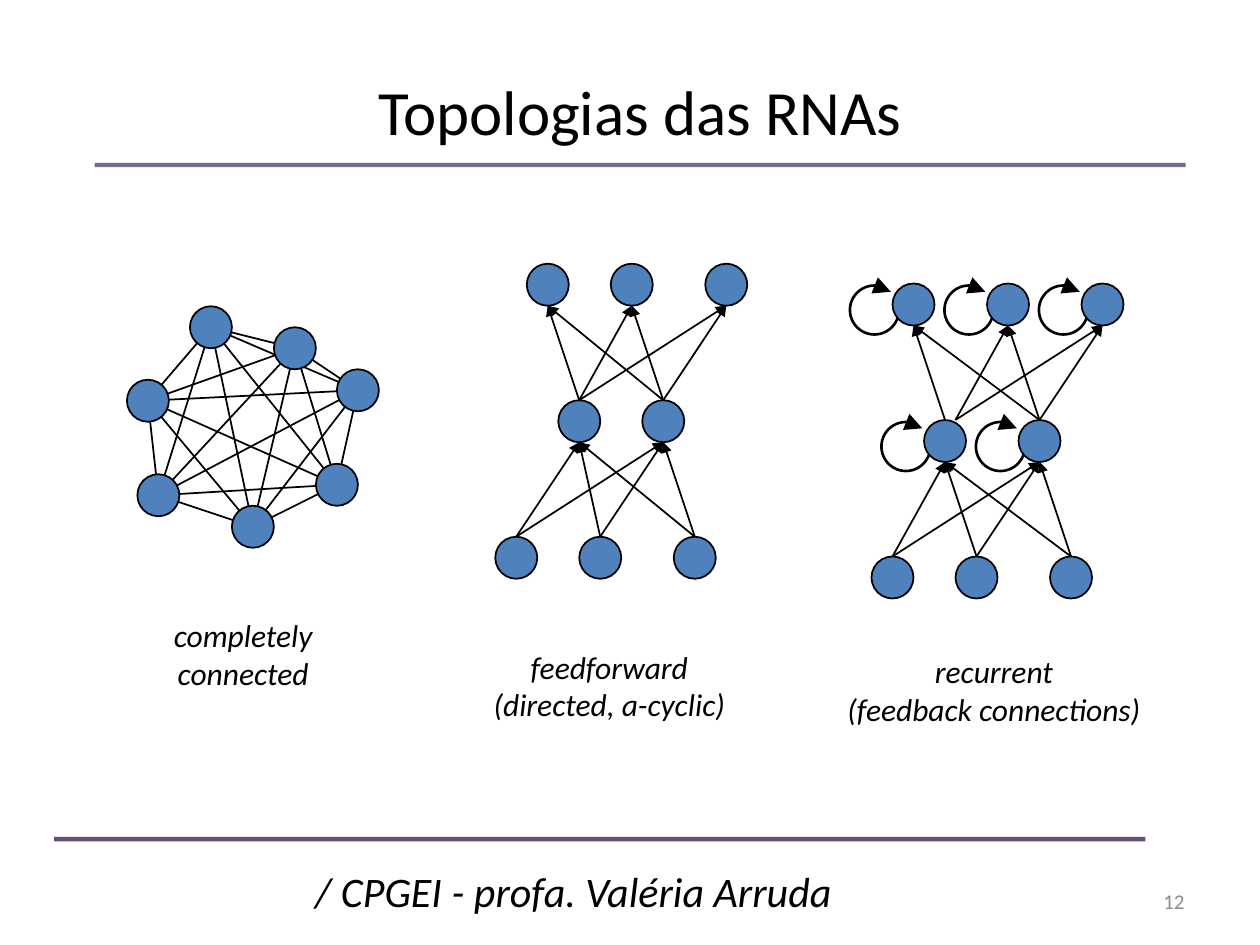
"""Builds a slide that compares three neural network topologies."""
from itertools import combinations

from lxml import etree
from pptx import Presentation
from pptx.dml.color import RGBColor
from pptx.enum.shapes import MSO_CONNECTOR, MSO_SHAPE
from pptx.enum.text import MSO_ANCHOR, PP_ALIGN
from pptx.oxml.ns import qn
from pptx.util import Pt

STRAIGHT = MSO_CONNECTOR.STRAIGHT
ELLIPSE, ARC = MSO_SHAPE.OVAL, MSO_SHAPE.ARC
LEFT, CENTER, RIGHT = PP_ALIGN.LEFT, PP_ALIGN.CENTER, PP_ALIGN.RIGHT
TOP, MIDDLE = MSO_ANCHOR.TOP, MSO_ANCHOR.MIDDLE
FONT = "Calibri"
BLACK, GRAY, BLUE, PURPLE = "000000", "8C8C8C", "4F81BD", "604A7B"
RADIUS = 12
LOOP_RADIUS = 14
LOOP_START, LOOP_END = 333, 312
ANGLE_UNIT = 0.6
LAYER_GAP = 78


def rgb(value):
    """Turn a hex string into a colour."""
    return RGBColor.from_string(value)


def add_text(slide, text, box, size, align=LEFT, anchor=TOP,
             color=BLACK, italic=False, wrap=True):
    """Add a text box with one format for all its lines."""
    frame = slide.shapes.add_textbox(*map(Pt, box)).text_frame
    frame.word_wrap = wrap
    frame.vertical_anchor = anchor
    frame.text = text
    for paragraph in frame.paragraphs:
        paragraph.alignment = align
        for run in paragraph.runs:
            run.font.name = FONT
            run.font.size = Pt(size)
            run.font.italic = italic
            run.font.color.rgb = rgb(color)


def add_arrowhead(shape, size="med"):
    """Put a triangle at the end of a line or an arc."""
    outline = shape._element.spPr.find(qn("a:ln"))
    etree.SubElement(outline, qn("a:tailEnd"), type="triangle", w=size, len=size)


def add_line(slide, start, end, color=BLACK, width=1, arrow=False):
    """Add a straight line, with an arrowhead at its end if asked."""
    line = slide.shapes.add_connector(STRAIGHT, *map(Pt, (*start, *end)))
    line.line.color.rgb = rgb(color)
    line.line.width = Pt(width)
    if arrow:
        add_arrowhead(line)
    etree.SubElement(line._element.spPr, qn("a:effectLst"))
    return line


def add_rule(slide, left, top, opacity):
    """Add a translucent purple rule across the slide."""
    rule = add_line(slide, (left, top), (left + 623.5, top), PURPLE, 2.5)
    color = rule._element.spPr.find(".//" + qn("a:srgbClr"))
    etree.SubElement(color, qn("a:alpha"), val=str(opacity * 1000))


def add_round(slide, kind, center, radius, width=1):
    """Add a round shape with a black outline around its centre."""
    x, y = center
    box = (x - radius, y - radius, 2 * radius, 2 * radius)
    shape = slide.shapes.add_shape(kind, *map(Pt, box))
    shape.shadow.inherit = False
    shape.line.color.rgb = rgb(BLACK)
    shape.line.width = Pt(width)
    return shape


def add_neuron(slide, center):
    """Add a neuron around its centre."""
    neuron = add_round(slide, ELLIPSE, center, RADIUS)
    neuron.fill.solid()
    neuron.fill.fore_color.rgb = rgb(BLUE)


def add_self_loop(slide, neuron):
    """Add the feedback loop at the left of a neuron."""
    center = (neuron[0] - 22.3, neuron[1] + 3.2)
    loop = add_round(slide, ARC, center, LOOP_RADIUS, 1.5)
    loop.fill.background()
    loop.adjustments[0] = LOOP_START * ANGLE_UNIT
    loop.adjustments[1] = LOOP_END * ANGLE_UNIT
    add_arrowhead(loop, "lg")


def add_complete_network(slide, neurons):
    """Join every pair of neurons and draw the neurons on top."""
    for start, end in combinations(neurons, 2):
        add_line(slide, start, end)
    for neuron in neurons:
        add_neuron(slide, neuron)


def add_layered_network(slide, left, bottom, columns, recurrent=False):
    """Draw layers from input to output, each feeding the next one."""
    layers = [[(left + x, bottom - level * LAYER_GAP) for x in row]
              for level, row in enumerate(columns)]
    for level, (sources, targets) in enumerate(zip(layers, layers[1:])):
        for i, (x, y) in enumerate(sources):
            for j, (target_x, target_y) in enumerate(targets):
                shift = 6 if recurrent and level == 1 and i == 0 and j > 0 else 0
                add_line(slide, (x + shift, y - RADIUS),
                         (target_x, target_y + RADIUS), arrow=True)
    if recurrent:
        for neuron in layers[1] + layers[2]:
            add_self_loop(slide, neuron)
    for layer in layers:
        for neuron in layer:
            add_neuron(slide, neuron)


def add_caption(slide, text, box):
    """Add the italic caption below a network."""
    add_text(slide, text, box, 18, CENTER, italic=True, wrap=False)


def main():
    """Build and save the slide."""
    deck = Presentation()
    deck.slide_width, deck.slide_height = Pt(720), Pt(540)
    slide = deck.slides.add_slide(deck.slide_layouts[6])

    add_rule(slide, 54, 94.3, 83)
    add_rule(slide, 31, 479.5, 97)
    add_text(slide, "Topologias das RNAs", (54, 26, 623.5, 73.5), 36, CENTER, MIDDLE)
    add_text(slide, "12", (516, 500.5, 168, 28.8), 12, RIGHT, MIDDLE, GRAY)
    add_text(slide, "/ CPGEI - profa. Valéria Arruda", (173, 491, 317.5, 36.7), 24,
             italic=True)

    add_complete_network(slide, [
        (84.5, 229), (90.5, 283), (144.5, 301), (192.5, 277),
        (204.5, 223), (168.5, 199), (120.5, 187)])
    add_layered_network(slide, 295, 318.7, [(0, 48, 102), (36, 84), (18, 66, 120)])
    add_layered_network(slide, 510, 330, [(0, 48, 102), (30, 84), (12, 66, 120)],
                        recurrent=True)

    add_caption(slide, "completely\vconnected", (80, 348.5, 118, 65))
    add_caption(slide, "feedforward\n(directed, a-cyclic)", (250, 366.5, 196.5, 65))
    add_caption(slide, "recurrent\n(feedback connections)", (450, 369.3, 236, 65))
    deck.save("out.pptx")


if __name__ == "__main__":
    main()
